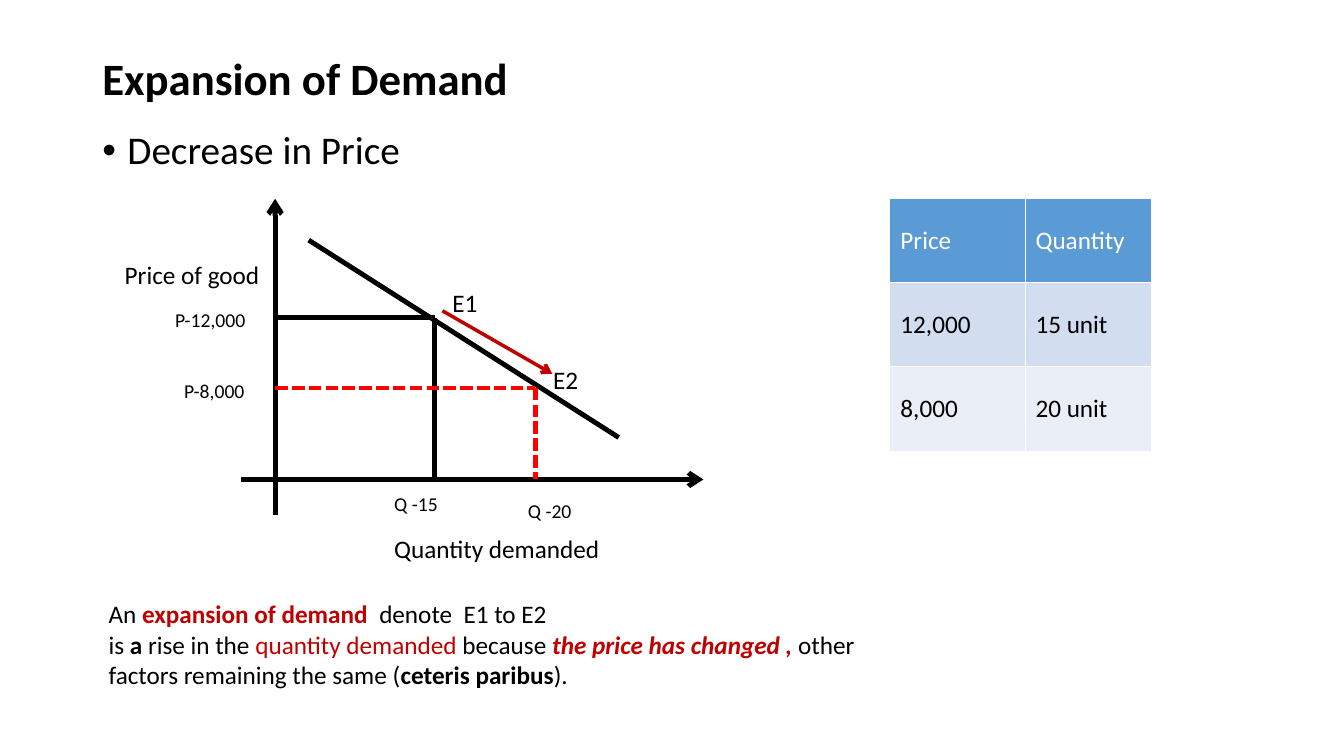
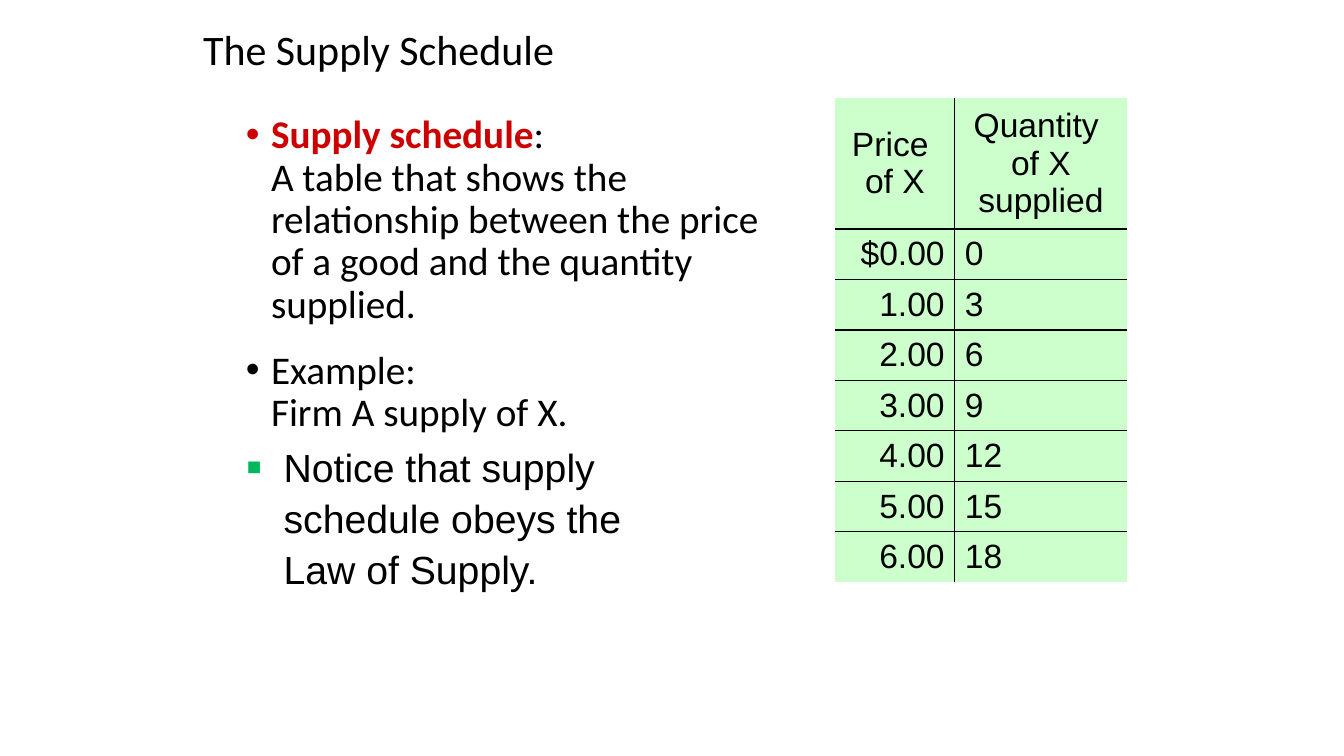
from lxml.etree import SubElement
from pptx import Presentation
from pptx.dml.color import RGBColor
from pptx.enum.dml import MSO_LINE
from pptx.enum.shapes import MSO_CONNECTOR
from pptx.enum.text import MSO_ANCHOR as ANCHOR, PP_ALIGN as ALIGN
from pptx.oxml.ns import qn
from pptx.util import Pt

color = RGBColor.from_string
BLACK, WHITE, RED, DARK_RED, MINT = "000000", "FFFFFF", "FF0000", "C00000", "CCFFCC"
BRIGHT_RED, GREEN = "CC0000", "00B85C"


def write(frame, paragraphs, size, font="Calibri", ink=BLACK, bold=None, align=None,
          spacing=None, before=0, bullets=(), indent=18):
    for index, spans in enumerate(paragraphs):
        para = frame.add_paragraph() if index else frame.paragraphs[0]
        para.alignment = align
        para.line_spacing = spacing
        if index and before:
            para.space_before = Pt(before)
        if bullets:
            symbol, tint, percent = bullets[index]
            props = para._p.get_or_add_pPr()
            props.set("marL", str(Pt(indent)))
            props.set("indent", str(-Pt(indent)))
            SubElement(SubElement(props, qn("a:buClr")), qn("a:srgbClr")).set("val", tint)
            SubElement(props, qn("a:buSzPct")).set("val", str(percent * 1000))
            SubElement(props, qn("a:buFont")).set("typeface", "Arial")
            SubElement(props, qn("a:buChar")).set("char", symbol)
        para.font.size = Pt(size)
        para.font.name = font
        para.font.bold = bold
        para.font.color.rgb = color(ink)
        for text, *style in spans:
            for number, piece in enumerate(text.split("\n")):
                if number:
                    para.add_line_break()
                if piece:
                    span = para.add_run()
                    span.text = piece
                    if style:
                        span.font.color.rgb = color(style[0])
                        span.font.bold = "bold" in style
                        span.font.italic = "italic" in style or None


def add_table(page, left, top, widths, heights, rows, fills, aligns, line, **style):
    table = page.shapes.add_table(len(rows), len(widths), Pt(left), Pt(top),
                                  Pt(sum(widths)), Pt(sum(heights))).table
    for column, width in zip(table.columns, widths):
        column.width = Pt(width)
    for r, (values, height) in enumerate(zip(rows, heights)):
        table.rows[r].height = Pt(height)
        for c, value in enumerate(values):
            cell = table.cell(r, c)
            cell.vertical_anchor = ANCHOR.MIDDLE
            inner = {"L": c > 0, "R": c < len(widths) - 1, "T": r > 0, "B": r < len(rows) - 1}
            for side, shown in inner.items():
                edge = SubElement(cell._tc.get_or_add_tcPr(), qn("a:ln" + side), w=str(Pt(1)))
                if shown:
                    solid = SubElement(edge, qn("a:solidFill"))
                    SubElement(solid, qn("a:srgbClr")).set("val", line)
                else:
                    SubElement(edge, qn("a:noFill"))
            cell.fill.solid()
            cell.fill.fore_color.rgb = color(fills[r])
            ink = WHITE if r == 0 and line == WHITE else BLACK
            write(cell.text_frame, [[(value,)]], ink=ink,
                  align=aligns[c] if r else aligns[-1], **style)


deck = Presentation()
deck.slide_width, deck.slide_height = Pt(960), Pt(540)
demand, supply = [deck.slides.add_slide(deck.slide_layouts[6]) for _ in range(2)]

text_boxes = [
    (demand, 66, 29, 828, 58, [[("Expansion of Demand",)]],
     dict(size=32, bold=True, spacing=0.9)),
    (demand, 66, 90, 828, 40, [[("Decrease in Price",)]],
     dict(size=28, spacing=0.9, bullets=[("•", BLACK, 100)])),
    (demand, 70.5, 424, 587.5, 73, [
        [("An ",), ("expansion of demand  ", DARK_RED, "bold"), ("denote  E1 to E2",)],
        [("is ",), ("a ", BLACK, "bold"), ("rise in the ",), ("quantity demanded ", DARK_RED),
         ("because ",), ("the price has changed , ", DARK_RED, "bold", "italic"),
         ("other factors remaining the same (",), ("ceteris paribus", BLACK, "bold"), (").",)],
    ], dict(size=18)),
    (supply, 138, 17.5, 684, 47, [[("The Supply Schedule",)]], dict(size=30, spacing=0.9)),
    (supply, 168.5, 78.5, 397.5, 278, [
        [("Supply schedule", BRIGHT_RED, "bold"),
         (":\nA table that shows the relationship between the price of a good "
          "and the quantity supplied.",)],
        [("Example:\nFirm A supply of X.",)],
    ], dict(size=28, spacing=0.9, before=17,
            bullets=[("•", BRIGHT_RED, 100), ("•", BLACK, 100)])),
    (supply, 168.5, 310, 370, 122,
     [[("Notice that supply schedule obeys the\nLaw of Supply.",)]],
     dict(size=28, font="Arial", spacing=1.09, indent=27, bullets=[("▪", GREEN, 120)])),
]
chart_labels = [
    ("Quantity demanded", 274.5, 377.5, 174, 18),
    ("Price of good", 82, 181.5, 120, 18),
    ("P-12,000", 118, 216.5, 72, 14),
    ("P-8,000", 124.5, 267, 72, 14),
    ("Q -15", 274.5, 347.5, 54, 14),
    ("Q -20", 370, 353, 54, 14),
    ("E1", 316, 201.5, 48, 18),
    ("E2", 388, 257, 48, 18),
]
for label, left, top, width, size in chart_labels:
    text_boxes.append((demand, left, top, width, size + 7, [[(label,)]], dict(size=size)))

for page, left, top, width, height, paragraphs, style in text_boxes:
    box = page.shapes.add_textbox(Pt(left), Pt(top), Pt(width), Pt(height))
    box.text_frame.word_wrap = True
    if style["size"] == 32:
        box.text_frame.vertical_anchor = ANCHOR.MIDDLE
    write(box.text_frame, paragraphs, **style)

axis_x, axis_y = 196.5, 342.5
first_x, first_y = 310.5, 227
second_x, second_y = 382.5, 277
chart_lines = [
    (316, 222, 394.5, 267, DARK_RED, 2.5, "arrow"),
    (axis_x, 368, axis_x, 142, BLACK, 3.5, "arrow"),
    (172, axis_y, 502.5, axis_y, BLACK, 3.5, "arrow"),
    (220.5, 171.5, 442, 312.5, BLACK, 3.5, "plain"),
    (axis_x, first_y, first_x, first_y, BLACK, 3.5, "plain"),
    (first_x, first_y, first_x, axis_y, BLACK, 3.5, "plain"),
    (axis_x, second_y, second_x, second_y, RED, 3, "dash"),
    (second_x, second_y, second_x, axis_y, RED, 3, "dash"),
]
for x1, y1, x2, y2, ink, weight, kind in chart_lines:
    line = demand.shapes.add_connector(MSO_CONNECTOR.STRAIGHT, Pt(x1), Pt(y1), Pt(x2), Pt(y2))
    line.line.color.rgb = color(ink)
    line.line.width = Pt(weight)
    if kind == "dash":
        line.line.dash_style = MSO_LINE.SQUARE_DOT
    if kind == "arrow":
        SubElement(line.line._get_or_add_ln(), qn("a:tailEnd")).set("type", "arrow")
    SubElement(line._element.spPr, qn("a:effectLst"))

add_table(demand, 636, 142, [96.5, 89.5], [60] * 3,
          [("Price", "Quantity"), ("12,000", "15 unit"), ("8,000", "20 unit")],
          ["5B9BD5", "D2DEEF", "EAEFF7"], [ALIGN.LEFT] * 3, WHITE, size=18)

prices = ["$0.00"] + [f"{price}.00" for price in range(1, 7)]
schedule = [("Price \nof X", "Quantity \nof X supplied")]
schedule += [(price, str(3 * step)) for step, price in enumerate(prices)]
add_table(supply, 596.5, 70, [85.5, 123], [91.4] + [35.4] * 7, schedule,
          [MINT] * 8, [ALIGN.RIGHT, ALIGN.LEFT, ALIGN.CENTER], BLACK, size=24, font="Arial")

deck.save("out.pptx")
